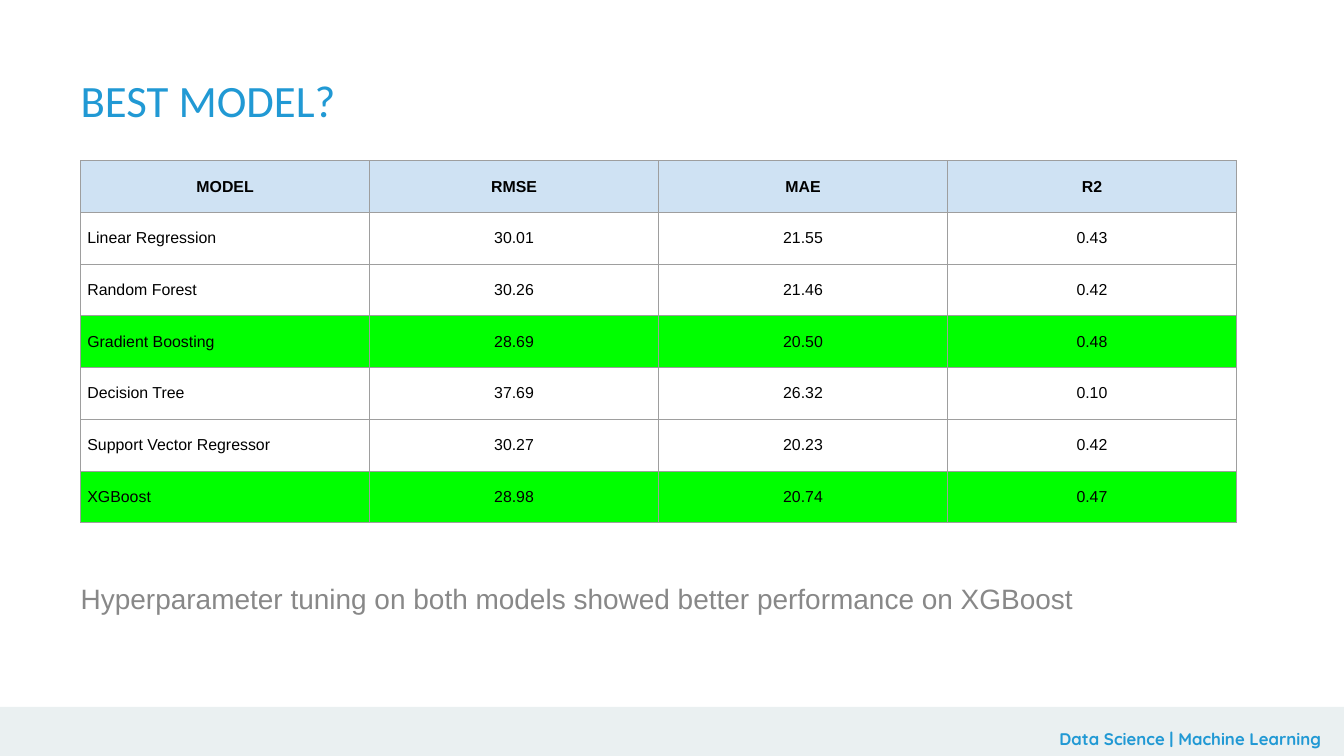
from lxml import etree
from pptx import Presentation
from pptx import util as u
from pptx.dml.color import RGBColor
from pptx.enum import shapes, text
from pptx.oxml import ns

BLUE = RGBColor(0x21, 0x99, 0xD4)
PALE = RGBColor(0xCF, 0xE2, 0xF3)
GREEN = RGBColor(0x00, 0xFF, 0x00)
MIST = RGBColor(0xEA, 0xF0, 0xF1)
GRAY = RGBColor(0x88, 0x88, 0x88)
EDGE = RGBColor(0x9E, 0x9E, 0x9E)
BLACK = RGBColor(0x00, 0x00, 0x00)

LEFT = text.PP_ALIGN.LEFT
MID = text.PP_ALIGN.CENTER
RIGHT = text.PP_ALIGN.RIGHT

HEAD = ("MODEL", "RMSE", "MAE", "R2")
SCORES = (
    ("Linear Regression", "30.01", "21.55", "0.43"),
    ("Random Forest", "30.26", "21.46", "0.42"),
    ("Gradient Boosting", "28.69", "20.50", "0.48"),
    ("Decision Tree", "37.69", "26.32", "0.10"),
    ("Support Vector Regressor", "30.27", "20.23", "0.42"),
    ("XGBoost", "28.98", "20.74", "0.47"),
)
BEST = ("Gradient Boosting", "XGBoost")


class Deck:
    """Holds the style and the current slide, and draws each kind of element."""

    def __init__(self, wide, high):
        self.prs = Presentation()
        self.prs.slide_width = u.Inches(wide)
        self.prs.slide_height = u.Inches(high)
        self.slide = self.prs.slides.add_slide(self.prs.slide_layouts[6])
        self.face = "Arial"

    def put(self, para, words, size, color, face=None, bold=False, align=LEFT):
        para.alignment = align
        run = para.add_run()
        run.text = words
        run.font.name = face or self.face
        run.font.size = u.Pt(size)
        run.font.bold = bold
        run.font.color.rgb = color

    def label(self, box, words, size, color, space=1.0, **style):
        frame = self.slide.shapes.add_textbox(*map(u.Inches, box)).text_frame
        frame.word_wrap = True
        frame.auto_size = text.MSO_AUTO_SIZE.SHAPE_TO_FIT_TEXT
        frame.margin_left = frame.margin_right = 0
        frame.margin_top = frame.margin_bottom = 0
        para = frame.paragraphs[0]
        para.line_spacing = space
        self.put(para, words, size, color, **style)

    def band(self, box, color):
        rect = self.slide.shapes.add_shape(
            shapes.MSO_SHAPE.RECTANGLE, *map(u.Inches, box))
        rect.shadow.inherit = False
        rect.fill.solid()
        rect.fill.fore_color.rgb = color
        rect.line.fill.background()

    def border(self, cell):
        props = cell._tc.get_or_add_tcPr()
        for side in ("lnL", "lnR", "lnT", "lnB"):
            line = etree.SubElement(props, ns.qn("a:" + side), w=str(u.Pt(0.75)))
            fill = etree.SubElement(line, ns.qn("a:solidFill"))
            etree.SubElement(fill, ns.qn("a:srgbClr"), val=str(EDGE))

    def cell(self, cell, words, fill, bold, align):
        cell.margin_left = cell.margin_right = u.Inches(0.1)
        cell.margin_top = cell.margin_bottom = u.Inches(0.1)
        cell.vertical_anchor = text.MSO_ANCHOR.MIDDLE
        self.border(cell)
        if fill is None:
            cell.fill.background()
        else:
            cell.fill.solid()
            cell.fill.fore_color.rgb = fill
        self.put(cell.text_frame.paragraphs[0], words, 17, BLACK,
                 bold=bold, align=align)

    def table(self, left, top, wide, high, rows, best):
        count, span = len(rows), len(rows[0])
        box = (left, top, wide * span, high * count)
        grid = self.slide.shapes.add_table(count, span, *map(u.Inches, box)).table
        grid.horz_banding = False
        for col in grid.columns:
            col.width = u.Inches(wide)
        for r, row in enumerate(rows):
            grid.rows[r].height = u.Inches(high)
            first = r == 0
            fill = PALE if first else GREEN if row[0] in best else None
            for c, words in enumerate(row):
                align = MID if first or c else LEFT
                self.cell(grid.cell(r, c), words, fill, first, align)


def main():
    deck = Deck(20, 11.25)
    deck.label((1.2, 0.92, 15.26, 0.81), "BEST MODEL?", 48, BLUE,
               space=1.2, face="Calibri")
    deck.band((-0.27, 10.52, 20.56, 0.99), MIST)
    deck.label((7.35, 10.72, 12.31, 0.73), "Data Science | Machine Learning", 18,
               BLUE, space=1.4, face="Quicksand", bold=True, align=RIGHT)
    deck.table(1.2, 2.39, 4.3, 0.77, (HEAD, *SCORES), BEST)
    deck.label((1.2, 8.65, 17.87, 1.01),
               "Hyperparameter tuning on both models showed better performance on XGBoost",
               30, GRAY)
    deck.prs.save("out.pptx")


if __name__ == "__main__":
    main()
